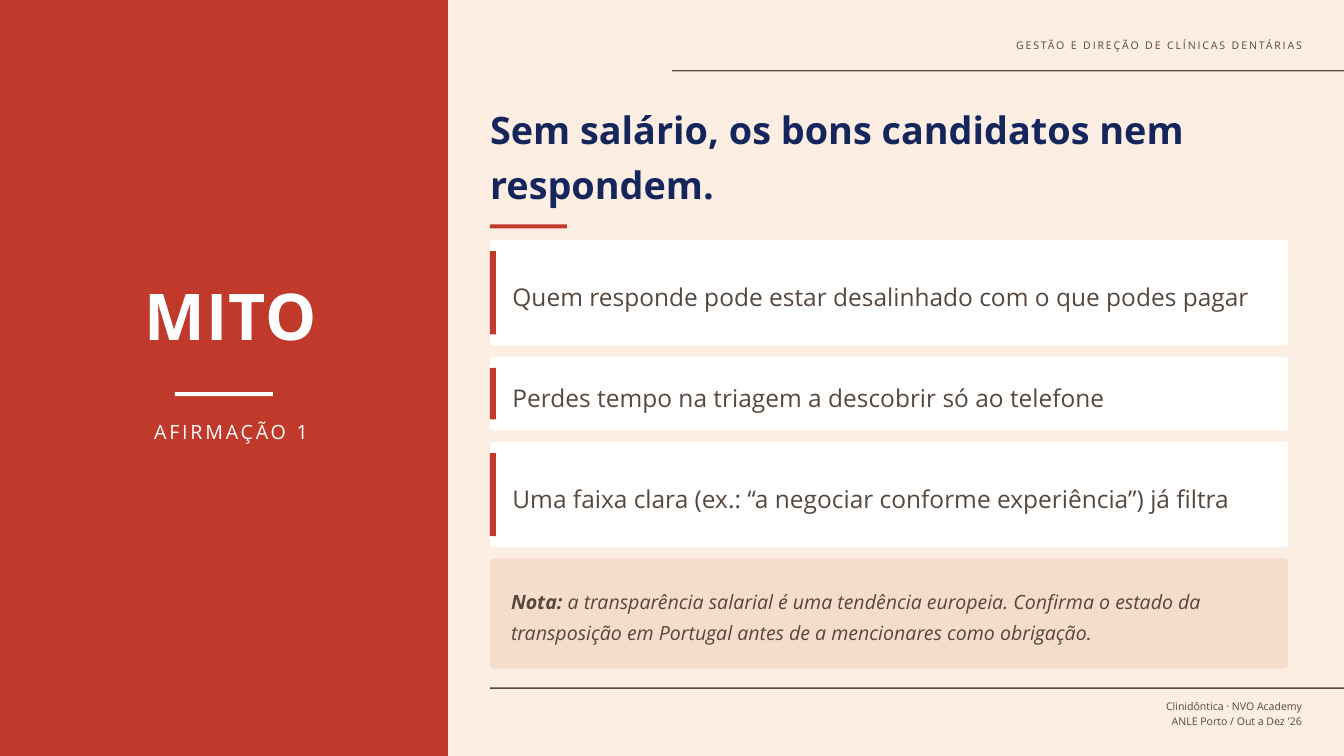
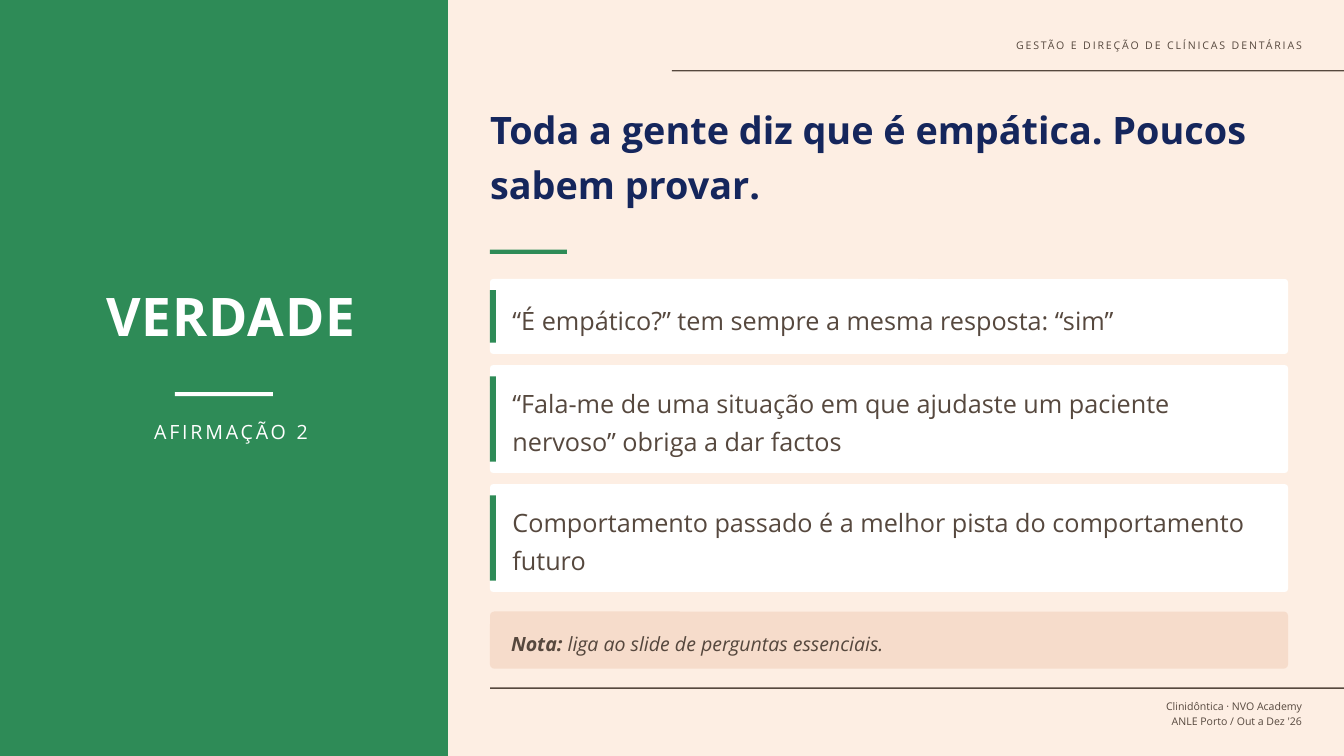
from pptx import Presentation
from pptx.dml.color import RGBColor
from pptx.enum.shapes import MSO_SHAPE
from pptx.enum.text import MSO_ANCHOR, MSO_AUTO_SIZE, PP_ALIGN
from pptx.util import Inches, Pt

RED = RGBColor(0xC0, 0x39, 0x2B)
GREEN = RGBColor(0x2E, 0x8B, 0x57)
CREAM = RGBColor(0xFD, 0xEE, 0xE3)
PEACH = RGBColor(0xF6, 0xDC, 0xCB)
BROWN = RGBColor(0x56, 0x48, 0x3E)
NAVY = RGBColor(0x15, 0x26, 0x5C)
WHITE = RGBColor(0xFF, 0xFF, 0xFF)

COURSE = "GESTÃO E DIREÇÃO DE CLÍNICAS DENTÁRIAS"
FOOTER = ["Clinidôntica · NVO Academy", "ANLE Porto / Out a Dez '26"]

STATEMENTS = [
    {
        "verdict": "MITO",
        "verdict_size": 69,
        "label": "AFIRMAÇÃO 1",
        "accent": RED,
        "title": "Sem salário, os bons candidatos nem respondem.",
        "title_rows": 8.9,
        "title_to_rule": 0.12,
        "rule_to_cards": 1.12,
        "card_size": 26.25,
        "cards": [
            ("Quem responde pode estar desalinhado com o que podes pagar", 7.54),
            ("Perdes tempo na triagem a descobrir só ao telefone", 5.28),
            ("Uma faixa clara (ex.: “a negociar conforme experiência”) já filtra", 7.54),
        ],
        "note": "a transparência salarial é uma tendência europeia. Confirma o estado "
                "da transposição em Portugal antes de a mencionares como obrigação.",
        "note_rows": 7.87,
    },
    {
        "verdict": "VERDADE",
        "verdict_size": 57,
        "label": "AFIRMAÇÃO 2",
        "accent": GREEN,
        "title": "Toda a gente diz que é empática. Poucos sabem provar.",
        "title_rows": 10.13,
        "title_to_rule": 0.7,
        "rule_to_cards": 2.1,
        "card_size": 27,
        "cards": [
            ("“É empático?” tem sempre a mesma resposta: “sim”", 5.35),
            ("“Fala-me de uma situação em que ajudaste um paciente nervoso” "
             "obriga a dar factos", 7.7),
            ("Comportamento passado é a melhor pista do comportamento futuro", 7.7),
        ],
        "note": "liga ao slide de perguntas essenciais.",
        "note_rows": 4.08,
    },
]

SLIDE_WIDTH, SLIDE_HEIGHT = Inches(20), Inches(11.25)
COLUMNS, ROWS = 96, 54
UNIT = SLIDE_WIDTH / COLUMNS
PANEL_WIDTH = 32
CONTENT_LEFT, CONTENT_WIDTH = 35, 57
TITLE_TOP = 7
CARD_GAP, CARD_PADDING = 0.8, 1.6
CARD_RADIUS, NOTE_RADIUS = 0.24, 0.3
NOTE_BOTTOM, NOTE_PADDING = 47.76, 1.5
HAIRLINE, RULE_HEIGHT, BAR_WIDTH = 0.1, 0.3, 0.43


def grid(*lengths):
    return [round(length * UNIT) for length in lengths]


def add_block(slide, box, color, radius=None):
    kind = MSO_SHAPE.RECTANGLE if radius is None else MSO_SHAPE.ROUNDED_RECTANGLE
    shape = slide.shapes.add_shape(kind, *grid(*box))
    if radius is not None:
        shape.adjustments[0] = radius / box[3]
    shape.shadow.inherit = False
    shape.fill.solid()
    shape.fill.fore_color.rgb = color
    shape.line.fill.background()


def write(shape, paragraphs, size, color, anchor=MSO_ANCHOR.TOP, spacing=0, bold=False, **layout):
    frame = shape.text_frame
    frame_format = {
        "word_wrap": True, "auto_size": MSO_AUTO_SIZE.SHAPE_TO_FIT_TEXT,
        "vertical_anchor": anchor, "margin_left": 0, "margin_right": 0,
        "margin_top": 0, "margin_bottom": 0,
    }
    for name, value in frame_format.items():
        setattr(frame, name, value)
    for index, runs in enumerate(paragraphs):
        paragraph = frame.add_paragraph() if index else frame.paragraphs[0]
        for name, value in layout.items():
            setattr(paragraph, name, value)
        for text, styles in runs:
            run = paragraph.add_run()
            run.text = text
            font_format = {"name": "Open Sans", "size": Pt(size), "bold": bold, **styles}
            for name, value in font_format.items():
                setattr(run.font, name, value)
            run.font.color.rgb = color
            if spacing:
                run._r.get_or_add_rPr().set("spc", str(spacing * 100))


def add_text(slide, box, lines, size, color, **layout):
    shape = slide.shapes.add_textbox(*grid(*box))
    write(shape, [[(line, {})] for line in lines], size, color, **layout)


def add_frame(slide):
    add_text(slide, (47, 2.5, 46, 1.5), [COURSE], 11.25, BROWN, spacing=2,
             alignment=PP_ALIGN.RIGHT, line_spacing=1.3, space_after=Pt(4.5))
    for left, top in ((COLUMNS / 2, 5), (CONTENT_LEFT, 49.1)):
        add_block(slide, (left, top, COLUMNS - left, HAIRLINE), BROWN)
    add_text(slide, (50, 49.82, 43, 2.5), FOOTER, 11.25, BROWN,
             alignment=PP_ALIGN.RIGHT, line_spacing=1.2)


def add_panel(slide, statement):
    add_text(slide, (3, 18, 27, 9), [statement["verdict"]], statement["verdict_size"], WHITE,
             anchor=MSO_ANCHOR.MIDDLE, spacing=1, bold=True, alignment=PP_ALIGN.CENTER)
    add_block(slide, (12.5, 28, 7, RULE_HEIGHT), WHITE)
    add_text(slide, (3, 29.5, 27, 3), [statement["label"]], 21, WHITE, spacing=3,
             alignment=PP_ALIGN.CENTER, line_spacing=1.3, space_after=Pt(4.5))


def add_title(slide, statement):
    title = slide.shapes.title
    box = grid(CONTENT_LEFT, TITLE_TOP, CONTENT_WIDTH, statement["title_rows"])
    for name, value in zip(("left", "top", "width", "height"), box):
        setattr(title, name, value)
    write(title, [[(statement["title"], {})]], 40.5, NAVY, bold=True,
          alignment=PP_ALIGN.LEFT, line_spacing=1.2)
    rule_top = TITLE_TOP + statement["title_rows"] + statement["title_to_rule"]
    add_block(slide, (CONTENT_LEFT, rule_top, 5.5, RULE_HEIGHT), statement["accent"])
    return rule_top + statement["rule_to_cards"]


def add_cards(slide, statement, top):
    for text, height in statement["cards"]:
        add_block(slide, (CONTENT_LEFT, top, CONTENT_WIDTH, height), WHITE, CARD_RADIUS)
        add_block(slide, (CONTENT_LEFT, top + CARD_GAP, BAR_WIDTH, height - 2 * CARD_GAP),
                  statement["accent"])
        add_text(slide, (CONTENT_LEFT + CARD_PADDING, top, CONTENT_WIDTH - 2 * CARD_PADDING, height),
                 [text], statement["card_size"], BROWN, anchor=MSO_ANCHOR.MIDDLE,
                 line_spacing=1.25, space_after=Pt(4.5))
        top += height + CARD_GAP


def add_note(slide, statement):
    height = statement["note_rows"]
    top = NOTE_BOTTOM - height
    add_block(slide, (CONTENT_LEFT, top, CONTENT_WIDTH, height), PEACH, NOTE_RADIUS)
    shape = slide.shapes.add_textbox(
        *grid(CONTENT_LEFT + NOTE_PADDING, top, CONTENT_WIDTH - 2 * NOTE_PADDING, height))
    runs = [("Nota: ", {"bold": True, "italic": True}), (statement["note"], {"italic": True})]
    write(shape, [runs], 21, BROWN, anchor=MSO_ANCHOR.MIDDLE, line_spacing=1.3)


def main():
    presentation = Presentation()
    presentation.slide_width, presentation.slide_height = SLIDE_WIDTH, SLIDE_HEIGHT
    title_only = presentation.slide_layouts.get_by_name("Title Only")
    for statement in STATEMENTS:
        slide = presentation.slides.add_slide(title_only)
        slide.background.fill.solid()
        slide.background.fill.fore_color.rgb = CREAM
        add_block(slide, (0, 0, PANEL_WIDTH, ROWS), statement["accent"])
        add_frame(slide)
        add_panel(slide, statement)
        cards_top = add_title(slide, statement)
        add_cards(slide, statement, cards_top)
        add_note(slide, statement)
    presentation.save("out.pptx")


if __name__ == "__main__":
    main()
